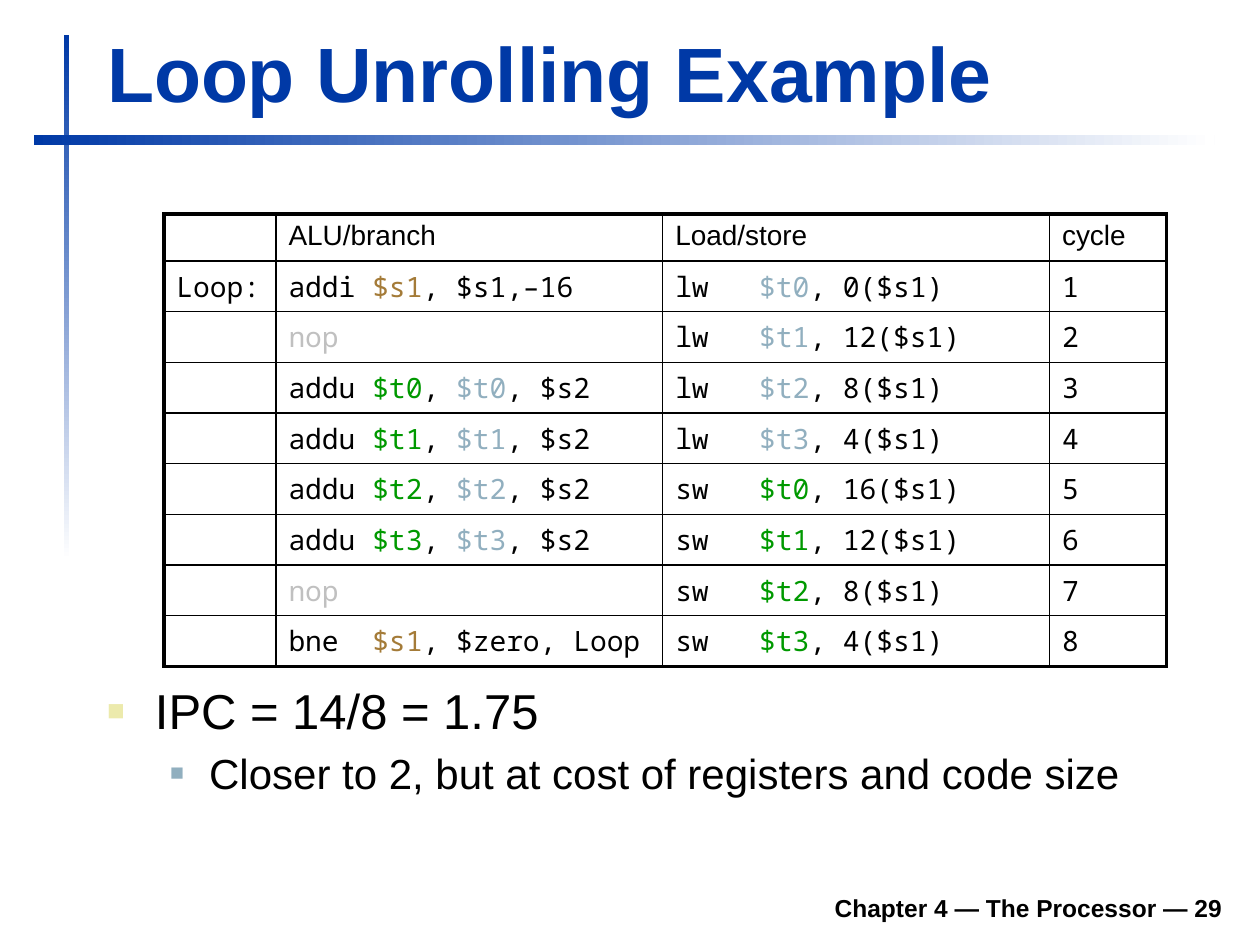
from lxml.etree import SubElement
from pptx import Presentation
from pptx.dml.color import RGBColor
from pptx.enum.shapes import MSO_SHAPE
from pptx.enum.text import MSO_ANCHOR, PP_ALIGN
from pptx.oxml.ns import qn
from pptx.util import Inches, Pt

# Content: a plain string is black, a pair is (text, colour name)
TITLE = "Loop Unrolling Example"
FOOTER = "Chapter 4 — The Processor — 29"
HEADER = ["", "ALU/branch", "Load/store", "cycle"]
ALU = [
    ["addi ", ("$s1", "gold"), ", $s1,–16"],
    [("nop", "grey")],
    ["addu ", ("$t0", "green"), ", ", ("$t0", "steel"), ", $s2"],
    ["addu ", ("$t1", "green"), ", ", ("$t1", "steel"), ", $s2"],
    ["addu ", ("$t2", "green"), ", ", ("$t2", "steel"), ", $s2"],
    ["addu ", ("$t3", "green"), ", ", ("$t3", "steel"), ", $s2"],
    [("nop", "grey")],
    ["bne  ", ("$s1", "gold"), ", $zero, Loop"],
]
MEMORY = [
    ["lw   ", ("$t0", "steel"), ", 0($s1)"],
    ["lw   ", ("$t1", "steel"), ", 12($s1)"],
    ["lw   ", ("$t2", "steel"), ", 8($s1)"],
    ["lw   ", ("$t3", "steel"), ", 4($s1)"],
    ["sw   ", ("$t0", "green"), ", 16($s1)"],
    ["sw   ", ("$t1", "green"), ", 12($s1)"],
    ["sw   ", ("$t2", "green"), ", 8($s1)"],
    ["sw   ", ("$t3", "green"), ", 4($s1)"],
]
# text, size, level, left margin, hanging indent, bullet colour, bullet size %
BULLETS = [
    ("IPC = 14/8 = 1.75", 28, 0, 0.38, 0.38, "cream", 60),
    ("Closer to 2, but at cost of registers and code size", 24, 1, 0.81, 0.31, "steel", 55),
]
COLORS = {"black": "000000", "white": "FFFFFF", "blue": "0039A6", "gold": "A47B38",
          "grey": "C0C0C0", "green": "009900", "steel": "91AFBF", "cream": "ECEAAC"}
SANS, MONO = "Arial", "Noto Sans Mono"
COLUMN_WIDTHS = [0.89, 3.07, 3.07, 0.93]
ROW_HEIGHT = 0.37
OUTER, UNDER_HEADER, INNER = 2.25, 1.5, 1


def rgb(name):
    return RGBColor.from_string(COLORS[name])


def write(paragraph, text, size=16, font=SANS, color="black", bold=False,
          align=PP_ALIGN.LEFT, before=0):
    """Fill a paragraph with a string or a list of coloured pieces."""
    paragraph.alignment = align
    paragraph.space_before = Pt(before)
    for piece in [text] if isinstance(text, str) else text:
        words, tint = (piece, color) if isinstance(piece, str) else piece
        if not words:  # keeps an empty cell as low as its row
            SubElement(paragraph._p, qn("a:endParaRPr"), sz=str(size * 100))
            continue
        run = paragraph.add_run()
        run.text = words
        run.font.size, run.font.name, run.font.bold = Pt(size), font, bold
        run.font.color.rgb = rgb(tint)


def place(shape, left, top, width, height):
    shape.left, shape.top = Inches(left), Inches(top)
    shape.width, shape.height = Inches(width), Inches(height)


def add_rule(slide, left, top, width, height, angle):
    rule = slide.shapes.add_shape(MSO_SHAPE.RECTANGLE, Inches(left), Inches(top),
                                  Inches(width), Inches(height))
    rule.shadow.inherit = False
    rule.line.fill.background()
    rule.fill.gradient()
    rule.fill.gradient_angle = angle
    for stop, position, name in zip(rule.fill.gradient_stops, (0, 1), ("blue", "white")):
        stop.position, stop.color.rgb = position, rgb(name)


def set_bullet(paragraph, margin, hanging, color, percent):
    props = paragraph._p.get_or_add_pPr()
    props.set("marL", str(Inches(margin)))
    props.set("indent", str(-Inches(hanging)))
    SubElement(SubElement(props, qn("a:buClr")), qn("a:srgbClr"), val=COLORS[color])
    SubElement(props, qn("a:buSzPct"), val=str(percent * 1000))
    SubElement(props, qn("a:buFont"), typeface=SANS)
    SubElement(props, qn("a:buChar"), char="■")


def set_borders(cell, widths):
    props = cell._tc.get_or_add_tcPr()
    for side, width in widths.items():
        line = SubElement(props, qn(f"a:ln{side}"), w=str(Pt(width)))
        SubElement(SubElement(line, qn("a:solidFill")), qn("a:srgbClr"), val=COLORS["black"])


def add_schedule(slide):
    rows = [HEADER] + [["Loop:" if cycle == 1 else "", alu, memory, str(cycle)]
                       for cycle, (alu, memory) in enumerate(zip(ALU, MEMORY), 1)]
    last_row, last_col = len(rows) - 1, len(COLUMN_WIDTHS) - 1
    table = slide.shapes.add_table(
        len(rows), len(COLUMN_WIDTHS), Inches(1.3), Inches(1.7),
        Inches(sum(COLUMN_WIDTHS)), Inches(ROW_HEIGHT * len(rows))).table
    table.first_row = table.horz_banding = False
    for column, width in zip(table.columns, COLUMN_WIDTHS):
        column.width = Inches(width)
    for r, row in enumerate(rows):
        table.rows[r].height = Inches(ROW_HEIGHT)
        for c, text in enumerate(row):
            cell = table.cell(r, c)
            write(cell.text_frame.paragraphs[0], text, font=MONO if r else SANS)
            set_borders(cell, {
                "L": OUTER if c == 0 else INNER,
                "R": OUTER if c == last_col else INNER,
                "T": {0: OUTER, 1: UNDER_HEADER}.get(r, INNER),
                "B": {0: UNDER_HEADER, last_row: OUTER}.get(r, INNER),
            })
            cell.fill.background()


def main():
    deck = Presentation()
    deck.slide_width, deck.slide_height = Inches(10), Inches(7.5)
    slide = deck.slides.add_slide(deck.slide_layouts[1])

    # Crossing gradient rules
    add_rule(slide, 0.51, 0.28, 0.04, 4.17, 270)
    add_rule(slide, 0.27, 1.07, 9.37, 0.08, 0)

    # Title
    title = slide.shapes.title
    place(title, 0.75, 0.16, 9.03, 0.83)
    title.text_frame.vertical_anchor = MSO_ANCHOR.BOTTOM
    write(title.text_frame.paragraphs[0], TITLE, size=44, color="blue", bold=True)

    # Issue schedule
    add_schedule(slide)

    # Conclusions
    body = slide.placeholders[1]
    place(body, 0.75, 5.35, 9.05, 1.47)
    frame = body.text_frame
    for i, (text, size, level, *bullet) in enumerate(BULLETS):
        paragraph = frame.add_paragraph() if i else frame.paragraphs[0]
        paragraph.level = level
        write(paragraph, text, size=size, before=size * 0.2)
        set_bullet(paragraph, *bullet)

    # Footer
    footer = slide.shapes.add_textbox(Inches(1.85), Inches(6.98), Inches(7.95), Inches(0.39))
    footer.text_frame.word_wrap = True
    footer.text_frame.vertical_anchor = MSO_ANCHOR.BOTTOM
    write(footer.text_frame.paragraphs[0], FOOTER, size=14, bold=True, align=PP_ALIGN.RIGHT)

    deck.save("out.pptx")


if __name__ == "__main__":
    main()
